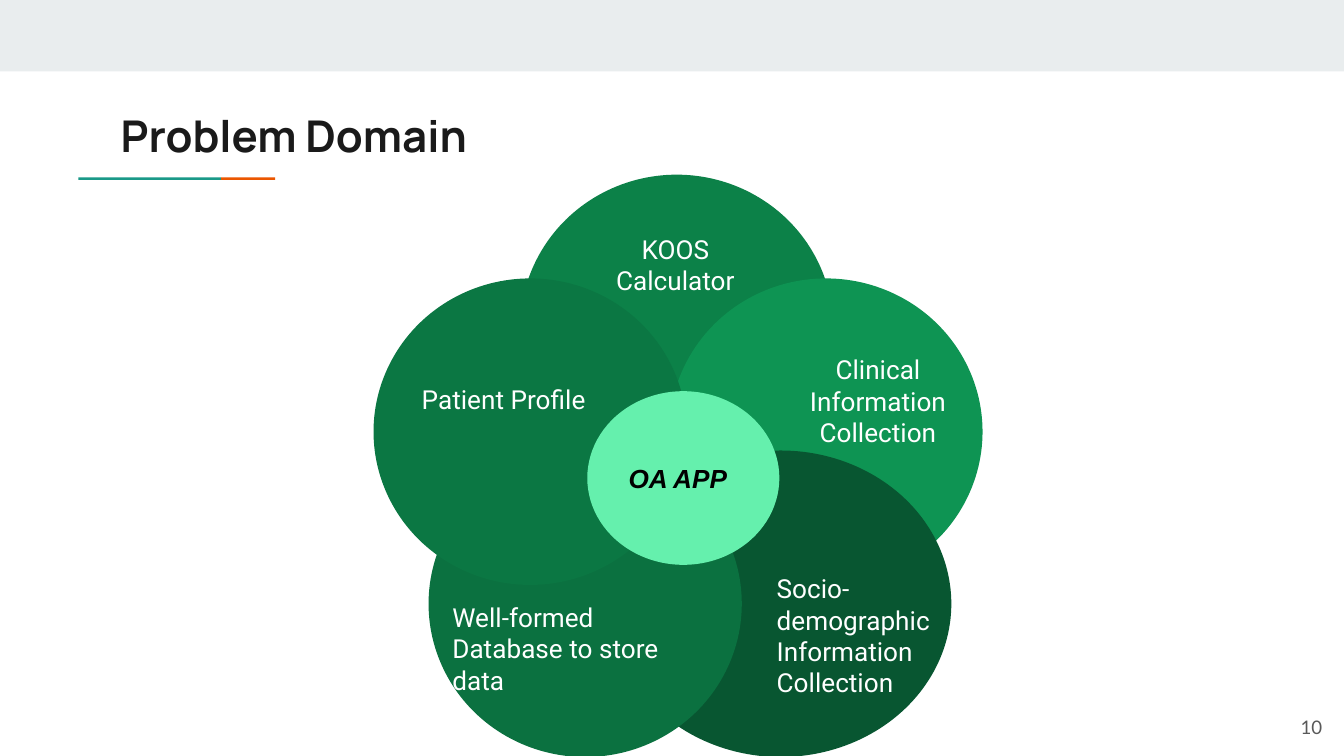
from pptx import Presentation
from pptx.dml.color import RGBColor
from pptx.enum.shapes import MSO_SHAPE as Shape
from pptx.enum.text import MSO_ANCHOR as Anchor, MSO_AUTO_SIZE as AutoSize, PP_ALIGN as Align
from pptx.util import Cm, Pt

SLIDE_W, SLIDE_H = 25.4, 14.28
COLORS = {
    "band": "E9EDEE", "teal": "1A9988", "orange": "EB5600",
    "title": "1A1A1A", "number": "595959", "white": "FFFFFF", "black": "000000",
    "koos": "0C8148", "clinical": "0E9453", "social": "085631",
    "database": "0B7140", "profile": "0B7743", "core": "65F0AD",
}
PETAL_W, PETAL_H = 5.92, 5.79
LABEL_H = 1.78
# colour, petal (left, top, width), text, label (left, top, width), alignment
PETALS = [
    ("koos", (2.77, 0, PETAL_W), "KOOS Calculator", (3.89, 0.81, 3.63), Align.CENTER),
    ("clinical", (5.59, 1.96, PETAL_W), "Clinical Information Collection",
     (7.72, 3.38, 3.63), Align.CENTER),
    ("social", (4.47, 5.21, 6.45), "Socio-demographic Information Collection",
     (7.37, 7.81, 3.45), Align.LEFT),
    ("database", (1.04, 5.21, PETAL_W), "Well-formed Database to store data",
     (1.24, 8.06, 5.08), Align.LEFT),
    ("profile", (0, 1.96, PETAL_W), "Patient Profile", (0.66, 3.35, 3.63), Align.LEFT),
]


def write(holder, text, *, size=14, font="Roboto", color="white", bold=False,
          italic=False, align=Align.LEFT, anchor=Anchor.MIDDLE):
    frame = holder.text_frame
    frame.word_wrap = True
    frame.auto_size = AutoSize.NONE
    frame.vertical_anchor = anchor
    frame.margin_left = frame.margin_right = Cm(0.25)
    frame.margin_top = frame.margin_bottom = Cm(0.25)
    paragraph = frame.paragraphs[0]
    paragraph.alignment = align
    run = paragraph.add_run()
    run.text = text
    run.font.size = Pt(size)
    run.font.name = font
    run.font.bold = bold
    run.font.italic = italic
    run.font.color.rgb = RGBColor.from_string(COLORS[color])


def add_filled(slide, preset, left, top, width, height, color):
    shape = slide.shapes.add_shape(preset, Cm(left), Cm(top), Cm(width), Cm(height))
    shape.shadow.inherit = False
    shape.fill.solid()
    shape.fill.fore_color.rgb = RGBColor.from_string(COLORS[color])
    shape.line.fill.background()
    return shape


def add_label(slide, left, top, width, height, text, **style):
    label = slide.shapes.add_textbox(Cm(left), Cm(top), Cm(width), Cm(height))
    write(label, text, **style)


def add_header(slide, left, top, width, height):
    """Band across the top, title in the given box, two-colour rule below it."""
    add_filled(slide, Shape.RECTANGLE, 0, 0, SLIDE_W, 1.35, "band")
    rule_left, rule_top = left - 0.55, top + height + 0.05
    teal_w, orange_w, rule_h = 2.7, 1.02, 0.05
    add_filled(slide, Shape.RECTANGLE, rule_left, rule_top, teal_w, rule_h, "teal")
    add_filled(slide, Shape.RECTANGLE, rule_left + teal_w, rule_top,
               orange_w, rule_h, "orange")
    title = slide.shapes.title
    title.left, title.top, title.width, title.height = map(Cm, (left, top, width, height))
    write(title, "Problem Domain", size=23.4, font="Manrope", color="title",
          bold=True, anchor=Anchor.TOP)


def add_flower(slide, left, top):
    """Five overlapping petals around the app, measured from the flower's corner."""
    for color, (petal_x, petal_y, petal_w), text, (label_x, label_y, label_w), align in PETALS:
        add_filled(slide, Shape.OVAL, left + petal_x, top + petal_y,
                   petal_w, PETAL_H, color)
        add_label(slide, left + label_x, top + label_y, label_w, LABEL_H,
                  text, align=align)
    core = add_filled(slide, Shape.OVAL, left + 4.04, top + 4.09, 3.63, 3.28, "core")
    write(core, "OA APP", font="Arial", color="black", bold=True, italic=True)


def main():
    deck = Presentation()
    deck.slide_width, deck.slide_height = Cm(SLIDE_W), Cm(SLIDE_H)
    slide = deck.slides.add_slide(deck.slide_layouts[5])
    add_header(slide, 2.03, 1.8, 21.36, 1.5)
    add_label(slide, 23.72, 13.18, 1.52, 1.09, "10", size=10, font="Lato",
              color="number", align=Align.RIGHT)
    add_flower(slide, 7.06, 3.3)
    deck.save("out.pptx")


if __name__ == "__main__":
    main()
